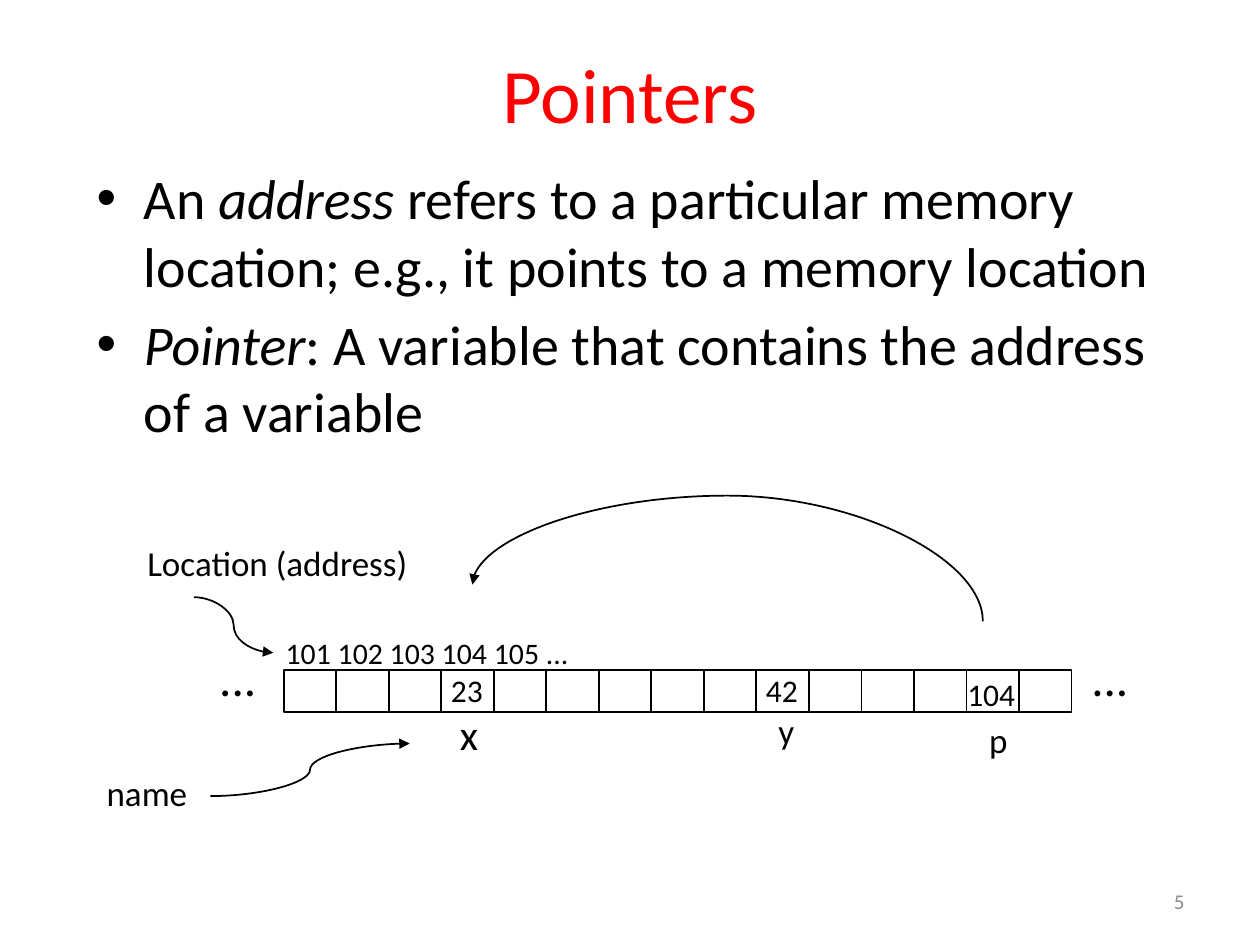
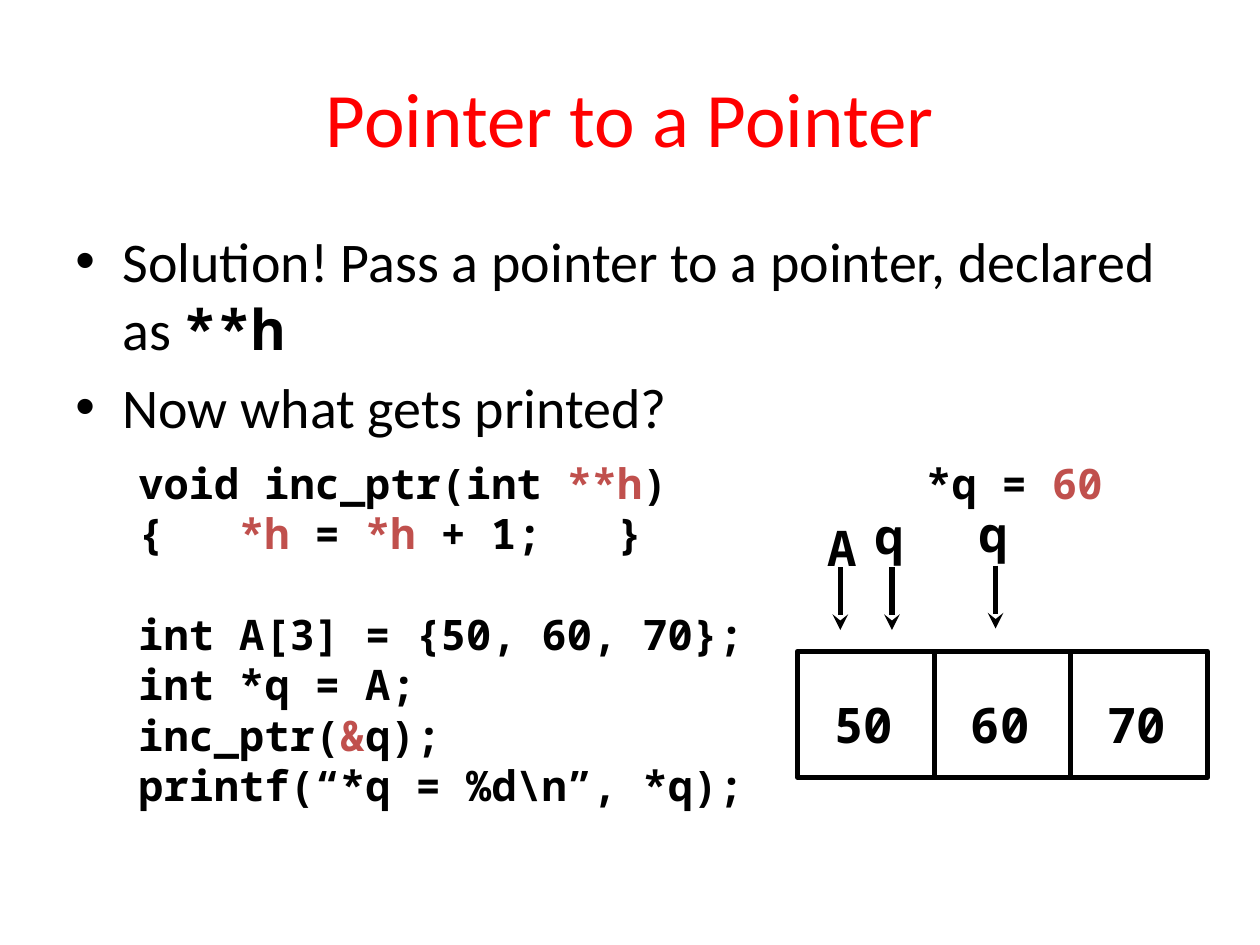
"""Two lecture slides about pointers: memory diagram and pointer to a pointer."""
from dataclasses import dataclass
from typing import Optional, Sequence

import lxml.etree
import pptx
import pptx.dml.color
import pptx.enum.shapes
import pptx.enum.text
import pptx.oxml.ns
import pptx.util

Cm = pptx.util.Cm
Pt = pptx.util.Pt
ALIGN = pptx.enum.text.PP_ALIGN
ANCHOR = pptx.enum.text.MSO_ANCHOR
CONNECTOR = pptx.enum.shapes.MSO_CONNECTOR


@dataclass(frozen=True)
class Theme:
    """Colours, fonts and type sizes shared by the slides."""
    ink: str = "000000"
    title: str = "FF0000"
    accent: str = "C0504D"
    muted: str = "8C8C8C"
    paper: str = "FFFFFF"
    sans: str = "Calibri"
    mono: str = "Noto Sans Mono"
    title_size: float = 44
    body_size: float = 32
    array_size: float = 28
    code_size: float = 24
    code_pitch: float = 28.8
    label_size: float = 20
    value_size: float = 18
    address_size: float = 17
    number_size: float = 12
    thin: float = 1
    thick: float = 3


THEME = Theme()


@dataclass(frozen=True)
class Place:
    """A frame in centimetres."""
    left: float
    top: float
    width: float
    height: float

    def lengths(self) -> tuple:
        """Return the frame as slide lengths."""
        return Cm(self.left), Cm(self.top), Cm(self.width), Cm(self.height)


@dataclass(frozen=True)
class Span:
    """A piece of text with one look."""
    text: str
    size: float = THEME.label_size
    font: str = THEME.sans
    color: str = THEME.ink
    bold: bool = False
    italic: bool = False


@dataclass(frozen=True)
class Label:
    """A short text in the memory diagram."""
    text: str
    place: Place
    size: float = THEME.label_size


@dataclass(frozen=True)
class Pointer:
    """A named arrow above the array."""
    name: str
    place: Place
    arrow_x: float
    arrow_top: float


def rgb(color: str) -> pptx.dml.color.RGBColor:
    """Turn a hex string into a colour."""
    return pptx.dml.color.RGBColor.from_string(color)


def sub_element(parent, tag: str, **attributes: str):
    """Append a drawing element with attributes."""
    return lxml.etree.SubElement(parent, pptx.oxml.ns.qn(tag), attributes)


def add_spans(para, spans: Sequence[Span]) -> None:
    """Add the spans to a paragraph, run by run."""
    for span in spans:
        run = para.add_run()
        run.text = span.text
        run.font.size = Pt(span.size)
        run.font.name = span.font
        run.font.bold = span.bold
        run.font.italic = span.italic
        run.font.color.rgb = rgb(span.color)


def add_text(page, place: Place, paragraphs: Sequence[Sequence[Span]], align=ALIGN.LEFT,
             anchor=ANCHOR.TOP, wrap: bool = False) -> list:
    """Add a text box and return its paragraphs; unwrapped boxes fit their text."""
    frame = page.shapes.add_textbox(*place.lengths()).text_frame
    frame.word_wrap = wrap
    frame.vertical_anchor = anchor
    auto_size = pptx.enum.text.MSO_AUTO_SIZE
    frame.auto_size = auto_size.NONE if wrap else auto_size.SHAPE_TO_FIT_TEXT
    paras = []
    for index, spans in enumerate(paragraphs):
        para = frame.add_paragraph() if index else frame.paragraphs[0]
        para.alignment = align
        add_spans(para, spans)
        paras.append(para)
    return paras


def add_title(page, text: str, height: float) -> None:
    """Add the centred slide title."""
    span = Span(text, THEME.title_size, color=THEME.title)
    add_text(page, Place(1.27, 0.76, 22.86, height), [[span]], ALIGN.CENTER, ANCHOR.MIDDLE, True)


def add_bullets(page, left: float, top: float, items: Sequence[Sequence[Span]]) -> None:
    """Add the bulleted body text."""
    for para in add_text(page, Place(left, top, 22.86, 12.57), items, wrap=True):
        para.space_before = Pt(THEME.body_size * 0.2)
        properties = para._p.get_or_add_pPr()
        properties.set("marL", str(Cm(0.95)))
        properties.set("indent", str(-Cm(0.95)))
        sub_element(properties, "a:buFont", typeface="Arial")
        sub_element(properties, "a:buChar", char="•")


def add_box(page, place: Place, line_width: float) -> None:
    """Add an unfilled rectangle."""
    box = page.shapes.add_shape(pptx.enum.shapes.MSO_SHAPE.RECTANGLE, *place.lengths())
    box.shadow.inherit = False
    box.fill.background()
    box.line.color.rgb = rgb(THEME.ink)
    box.line.width = Pt(line_width)


def add_line(page, start: tuple, end: tuple, line_width: float, kind=CONNECTOR.STRAIGHT,
             head: Optional[str] = None):
    """Add a connector, with an arrowhead at its end if one is named."""
    line = page.shapes.add_connector(kind, *(Cm(value) for value in start + end))
    line.line.color.rgb = rgb(THEME.ink)
    line.line.width = Pt(line_width)
    if head:
        sub_element(line.line._get_or_add_ln(), "a:tailEnd", type=head)
    sub_element(line._element.spPr, "a:effectLst")
    return line


def add_curve(page, start: tuple, end: tuple):
    """Add a thin curved arrow."""
    return add_line(page, start, end, THEME.thin, CONNECTOR.CURVE, "triangle")


def add_arch(page) -> None:
    """Add the arrow that rises from p and comes down on x."""
    arch = add_curve(page, (15.04, 7.01), (14.3, 17.3))
    properties = arch._element.spPr
    properties.find(pptx.oxml.ns.qn("a:xfrm")).set("rot", str(90 * 60000))
    geometry = properties.find(pptx.oxml.ns.qn("a:prstGeom"))
    guides = geometry.find(pptx.oxml.ns.qn("a:avLst"))
    if guides is None:
        guides = sub_element(geometry, "a:avLst")
    sub_element(guides, "a:gd", name="adj1", fmla="val 342500")


def add_page(deck):
    """Add a blank page with the paper colour."""
    page = deck.slides.add_slide(deck.slide_layouts[6])
    page.background.fill.solid()
    page.background.fill.fore_color.rgb = rgb(THEME.paper)
    return page


def body(text: str, italic: bool = False) -> Span:
    """Return body text."""
    return Span(text, THEME.body_size, italic=italic)


def code(text: str, color: str = THEME.ink, size: float = THEME.code_size) -> Span:
    """Return bold monospaced text."""
    return Span(text, size, THEME.mono, color, bold=True)


MEMORY = Place(5.72, 13.51, 15.88, 0.84)
MEMORY_CELLS = 15
MEMORY_LABELS = (
    Label("23", Place(8.84, 13.41, 1.22, 1.02), THEME.value_size),
    Label("42", Place(15.19, 13.41, 1.22, 1.02), THEME.value_size),
    Label("104", Place(19.25, 13.49, 1.57, 1.02), THEME.value_size),
    Label("...", Place(4.17, 12.93, 1.37, 1.45), 28),
    Label("...", Place(21.75, 12.93, 1.37, 1.45), 28),
    Label("101 102 103 104 105 ...", Place(5.51, 12.67, 6.27, 0.99), THEME.address_size),
    Label("x", Place(9.02, 14.15, 0.94, 1.27), 24),
    Label("y", Place(15.44, 14.17, 0.86, 1.09)),
    Label("p", Place(19.69, 14.35, 0.91, 1.09)),
    Label("Location (address)", Place(2.72, 10.8, 6.35, 1.09)),
    Label("name", Place(1.9, 15.42, 2.29, 1.09)),
)


def build_pointers(deck) -> None:
    """Build the slide that defines addresses and pointers."""
    page = add_page(deck)
    add_title(page, "Pointers", 2.21)
    add_bullets(page, 1.7, 3.18, [
        [body("An "), body("address ", True),
         body("refers to a particular memory location; e.g., it points to a memory location")],
        [body("Pointer", True), body(": A variable that contains the address of a variable")],
    ])
    add_text(page, Place(18.21, 17.65, 5.92, 1.02),
             [[Span("5", THEME.number_size, color=THEME.muted)]], ALIGN.RIGHT, ANCHOR.MIDDLE, True)
    pitch = MEMORY.width / MEMORY_CELLS
    for index in range(MEMORY_CELLS):
        cell = Place(MEMORY.left + index * pitch, MEMORY.top, pitch, MEMORY.height)
        add_box(page, cell, THEME.thin)
    for label in MEMORY_LABELS:
        add_text(page, label.place, [[Span(label.text, label.size)]])
    add_curve(page, (3.91, 12.04), (5.51, 13.16))
    add_curve(page, (4.24, 16.05), (8.26, 14.99))
    add_arch(page)


ARRAY = Place(16.08, 13.13, 8.26, 2.54)
ARRAY_VALUES = ("50", "60", "70")
POINTERS = (
    Pointer("A", Place(16.41, 10.31, 1.12, 1.45), 16.94, 11.43),
    Pointer("q", Place(17.37, 10.06, 1.12, 1.45), 17.98, 11.43),
    Pointer("q", Place(19.46, 10.03, 1.12, 1.45), 20.07, 11.4),
)
CODE_LINES = (
    (code("void inc_ptr(int "), code("**h", THEME.accent), code(")")),
    (code("{\t"), code("*h", THEME.accent), code(" = "), code("*h", THEME.accent),
     code(" + 1;\t}")),
    (code("int A[3] = {50, 60, 70};"),),
    (code("int *q = A;"),),
    (code("inc_ptr("), code("&", THEME.accent), code("q);")),
    (code("printf(“*q = %d\\n”, *q);"),),
)


def add_code(page) -> None:
    """Add the listing, with tab stops in the function body and a gap after it."""
    paras = add_text(page, Place(2.54, 9.09, 12.83, 7.44), CODE_LINES)
    for para in paras:
        para.line_spacing = Pt(THEME.code_pitch)
    paras[2].space_before = Pt(THEME.code_pitch)
    stops = sub_element(paras[1]._p.get_or_add_pPr(), "a:tabLst")
    for position in (2.03, 9.65):
        sub_element(stops, "a:tab", pos=str(Cm(position)), algn="l")


def build_pointer_to_pointer(deck) -> None:
    """Build the slide with the listing and the array it walks over."""
    page = add_page(deck)
    add_title(page, "Pointer to a Pointer", 3.18)
    add_bullets(page, 1.27, 4.45, [
        [body("Solution! Pass a pointer to a pointer, declared as "),
         code("**h", size=THEME.body_size)],
        [body("Now what gets printed?")],
    ])
    add_code(page)
    add_text(page, Place(18.42, 9.09, 4.06, 1.27), [[code("*q = "), code("60", THEME.accent)]])
    add_box(page, ARRAY, THEME.thick)
    pitch = ARRAY.width / len(ARRAY_VALUES)
    for index, value in enumerate(ARRAY_VALUES):
        left = ARRAY.left + index * pitch
        if index:
            add_line(page, (left, ARRAY.top + ARRAY.height), (left, ARRAY.top), THEME.thick)
        add_text(page, Place(left + 0.48, 13.87, 1.7, 1.45),
                 [[code(value, size=THEME.array_size)]], ALIGN.CENTER)
    for pointer in POINTERS:
        add_text(page, pointer.place, [[code(pointer.name, size=THEME.array_size)]], ALIGN.CENTER)
        add_line(page, (pointer.arrow_x, pointer.arrow_top),
                 (pointer.arrow_x, pointer.arrow_top + 1.27), THEME.thick, head="stealth")


deck = pptx.Presentation()
deck.slide_width, deck.slide_height = Cm(25.4), Cm(19.05)
build_pointers(deck)
build_pointer_to_pointer(deck)
deck.save("out.pptx")
